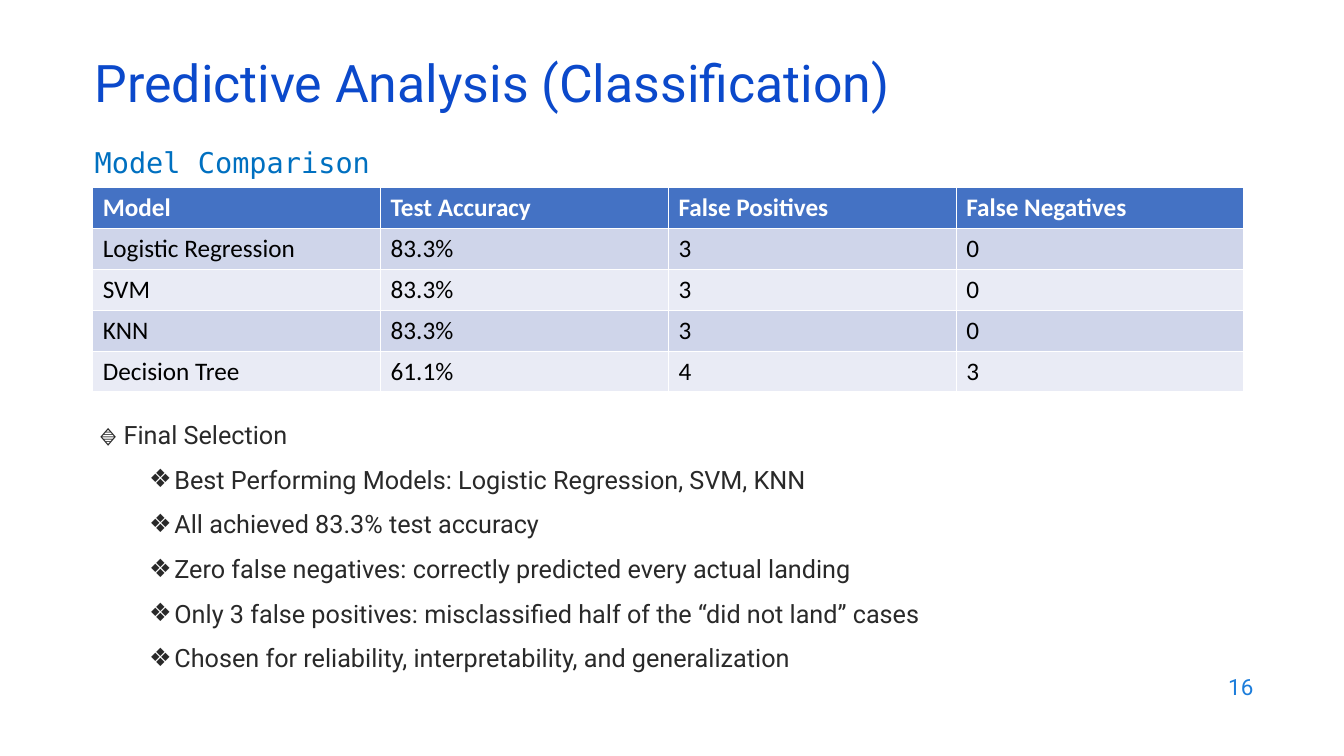
from dataclasses import dataclass

from lxml.etree import SubElement
from pptx import Presentation
from pptx.dml.color import RGBColor
from pptx.enum.text import MSO_ANCHOR, MSO_AUTO_SIZE, PP_ALIGN
from pptx.oxml.ns import qn
from pptx.util import Inches, Pt


@dataclass(frozen=True)
class Style:
    font: str
    size: float
    color: str
    bold: bool = False


@dataclass(frozen=True)
class Theme:
    title: Style = Style("Roboto", 37, "0B49CB")
    subtitle: Style = Style("DejaVu Sans Mono", 20.4, "0070C0")
    header: Style = Style("Calibri", 18, "FFFFFF", True)
    cell: Style = Style("Calibri", 18, "000000")
    body: Style = Style("Roboto", 18, "292929")
    number: Style = Style("Roboto", 16, "1C7DDB")
    header_fill: str = "4472C4"
    band_fills: tuple = ("E9EBF5", "CFD5EA")


THEME = Theme()

MODELS = [
    ("Model", "Test Accuracy", "False Positives", "False Negatives"),
    ("Logistic Regression", "83.3%", "3", "0"),
    ("SVM", "83.3%", "3", "0"),
    ("KNN", "83.3%", "3", "0"),
    ("Decision Tree", "61.1%", "4", "3"),
]
SELECTION_HEADING = "🔹 Final Selection"
SELECTION_POINTS = [
    "Best Performing Models: Logistic Regression, SVM, KNN",
    "All achieved 83.3% test accuracy",
    "Zero false negatives: correctly predicted every actual landing",
    "Only 3 false positives: misclassified half of the “did not land” cases",
    "Chosen for reliability, interpretability, and generalization",
]


def set_format(obj, values):
    for name, value in values.items():
        setattr(obj, name, value)


def place(sp, left, top, width, height):
    box = {"left": left, "top": top, "width": width, "height": height}
    set_format(sp, {name: Inches(value) for name, value in box.items()})


def write(p, text, style, **paragraph_format):
    set_format(p, paragraph_format)
    r = p.add_run()
    r.text = text
    set_format(r.font, {"name": style.font, "size": Pt(style.size), "bold": style.bold})
    r.font.color.rgb = RGBColor.from_string(style.color)


def set_bullet(p, char=None, left=0.0, indent=0.0):
    pPr = p._p.get_or_add_pPr()
    pPr.set("marL", str(Inches(left)))
    pPr.set("indent", str(Inches(indent)))
    if char:
        SubElement(pPr, qn("a:buChar")).set("char", char)
    else:
        SubElement(pPr, qn("a:buNone"))


def prepare_frame(sp, anchor):
    tf = sp.text_frame
    set_format(tf, {"word_wrap": True, "auto_size": MSO_AUTO_SIZE.NONE,
                    "vertical_anchor": anchor})
    return tf


def fill_text(sp, box, text, style, anchor=MSO_ANCHOR.MIDDLE, **paragraph_format):
    place(sp, *box)
    tf = prepare_frame(sp, anchor)
    write(tf.paragraphs[0], text, style, **paragraph_format)


def add_text(s, box, *args, **kwargs):
    sp = s.shapes.add_textbox(*(Inches(value) for value in box))
    fill_text(sp, box, *args, **kwargs)


def add_model_table(s, rows, box):
    table = s.shapes.add_table(len(rows), len(rows[0]),
                               *(Inches(value) for value in box)).table
    for i, row in enumerate(rows):
        style = THEME.cell if i else THEME.header
        fill = THEME.band_fills[i % 2] if i else THEME.header_fill
        for j, text in enumerate(row):
            cell = table.cell(i, j)
            cell.fill.solid()
            cell.fill.fore_color.rgb = RGBColor.from_string(fill)
            write(cell.text_frame.paragraphs[0], text, style)


def fill_list(sp, box, heading, points):
    place(sp, *box)
    tf = prepare_frame(sp, MSO_ANCHOR.TOP)
    spacing = {"line_spacing": 1.2, "space_before": Pt(0), "space_after": Pt(6)}
    p = tf.paragraphs[0]
    set_bullet(p)
    write(p, heading, THEME.body, **spacing)
    for point in points:
        p = tf.add_paragraph()
        set_bullet(p, "❖", 0.75, -0.25)
        write(p, point, THEME.body, level=1, **spacing)


def main():
    prs = Presentation()
    set_format(prs, {"slide_width": Inches(13.33), "slide_height": Inches(7.5)})
    s = prs.slides.add_slide(prs.slide_layouts[1])

    # Headings
    fill_text(s.shapes.title, (0.84, 0.59, 11.5, 0.6),
              "Predictive Analysis (Classification)", THEME.title,
              alignment=PP_ALIGN.LEFT, line_spacing=0.7)
    add_text(s, (0.84, 1.45, 4.39, 0.38), "Model Comparison", THEME.subtitle,
             anchor=MSO_ANCHOR.TOP, line_spacing=0.8)

    # Model comparison
    add_model_table(s, MODELS, (0.92, 1.86, 11.42, 2.03))

    # Final selection
    fill_list(s.placeholders[1], (0.88, 4.05, 11.5, 3.31),
              SELECTION_HEADING, SELECTION_POINTS)

    # Page number
    add_text(s, (9.53, 6.59, 3, 0.44), "16", THEME.number, alignment=PP_ALIGN.RIGHT)

    prs.save("out.pptx")


if __name__ == "__main__":
    main()
